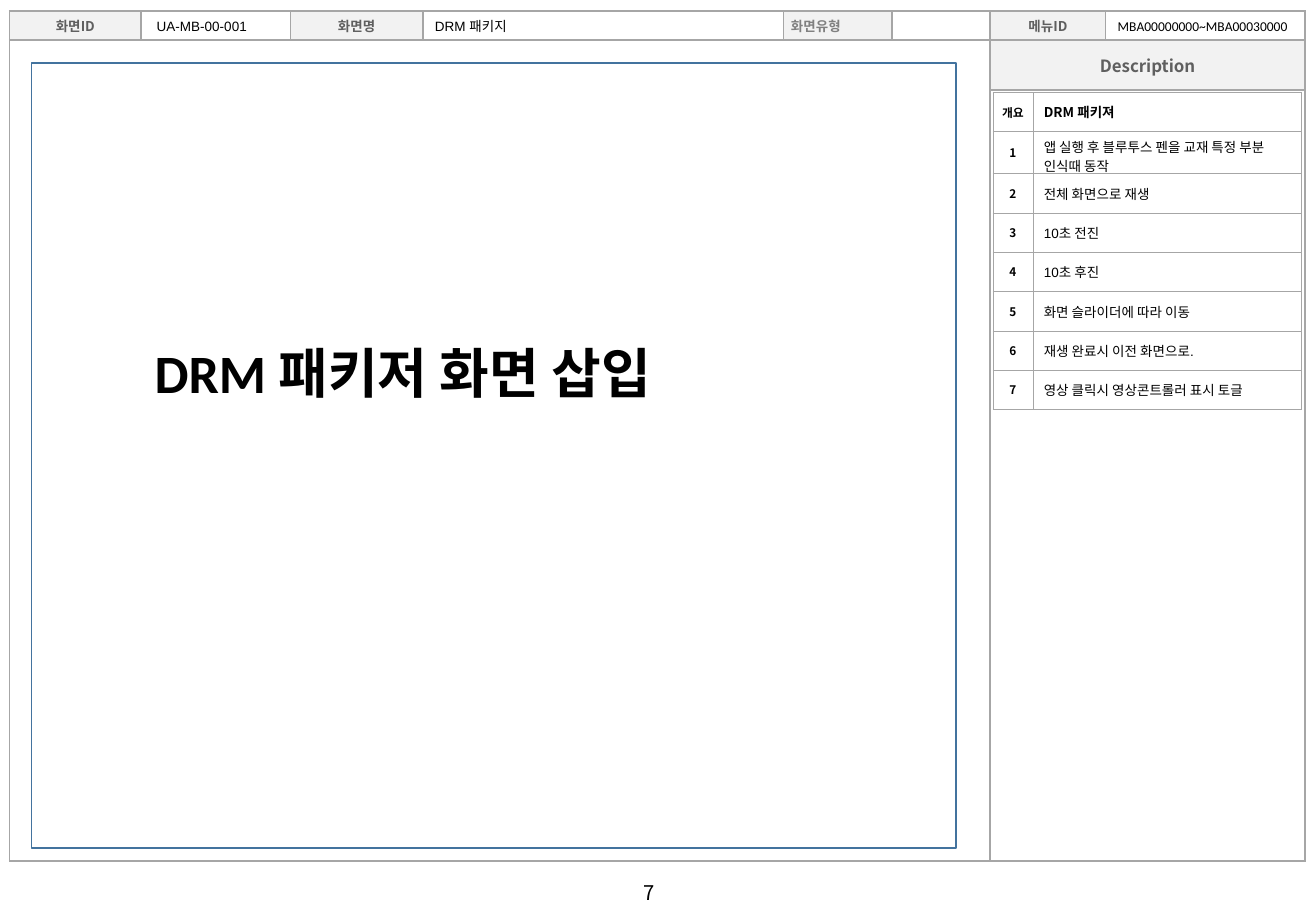
from itertools import accumulate

from lxml import etree
from pptx import Presentation
from pptx import util as u
from pptx.dml.color import RGBColor
from pptx.enum import shapes, text
from pptx.oxml import ns

BLACK = RGBColor(0x00, 0x00, 0x00)
LABEL = RGBColor(0x5F, 0x5F, 0x5F)
LABEL_LIGHT = RGBColor(0x80, 0x80, 0x80)
HEADER_FILL = RGBColor(0xF2, 0xF2, 0xF2)
GRID = RGBColor(0xA6, 0xA6, 0xA6)
FRAME = RGBColor(0x43, 0x73, 0x9E)

KOREAN = "Noto Sans CJK KR"
WIDTH, HEIGHT = 10.83, 7.5
CENTER = text.PP_ALIGN.CENTER

# Form grid, in inches
FORM_BOX = (0.08, 0.09, 10.65, 7)
FORM_COLUMNS = [1.08, 1.23, 1.09, 2.97, 0.89, 0.81, 0.95, 1.64]
FORM_ROWS = [0.24, 0.41, 6.35]
LABELS = {0: "화면ID", 2: "화면명", 4: "화면유형", 6: "메뉴ID"}
# Column, text, font, shift from the column's left edge
VALUES = [
    (1, "UA-MB-00-001", "Arial", 0.03),
    (3, "DRM 패키지", "Arial", 0),
    (7, "MBA00000000~MBA00030000", "Calibri", 0),
]
DESCRIPTIONS = [
    ("개요", "DRM 패키져"),
    ("1", "앱 실행 후 블루투스 펜을 교재 특정 부분 인식때 동작"),
    ("2", "전체 화면으로 재생"),
    ("3", "10초 전진"),
    ("4", "10초 후진"),
    ("5", "화면 슬라이더에 따라 이동"),
    ("6", "재생 완료시 이전 화면으로."),
    ("7", "영상 클릭시 영상콘트롤러 표시 토글"),
]


def inches(box):
    return [u.Inches(length) for length in box]


def write(frame, words, size=8, font=KOREAN, color=BLACK, bold=False,
          align=text.PP_ALIGN.LEFT, before=0):
    para = frame.paragraphs[0]
    para.alignment = align
    para.space_before = u.Pt(before)
    if not words:
        end = etree.SubElement(para._p, ns.qn("a:endParaRPr"))
        end.set("sz", str(size * 100))
        return
    span = para.add_run()
    span.text = words
    span.font.size = u.Pt(size)
    span.font.name = font
    span.font.bold = bold
    span.font.color.rgb = color
    east_asian = etree.SubElement(span.font._element, ns.qn("a:ea"))
    east_asian.set("typeface", KOREAN)


def add_text(page, box, words, wrap=True, **style):
    frame = page.shapes.add_textbox(*inches(box)).text_frame
    frame.word_wrap = wrap
    write(frame, words, **style)


def add_grid(page, box, columns, rows):
    table = page.shapes.add_table(len(rows), len(columns), *inches(box)).table
    table.first_row = table.horz_banding = False
    for column, width in zip(table.columns, columns):
        column.width = u.Inches(width)
    for row, height in zip(table.rows, rows):
        row.height = u.Inches(height)
    return table


def format_cell(cell, border, fill=None, side=0.04, left=None):
    cell.vertical_anchor = text.MSO_ANCHOR.MIDDLE
    cell.margin_top = cell.margin_bottom = u.Inches(0.04)
    cell.margin_right = u.Inches(side)
    cell.margin_left = u.Inches(left or side)
    if fill:
        cell.fill.solid()
        cell.fill.fore_color.rgb = fill
    else:
        cell.fill.background()
    properties = cell._tc.get_or_add_tcPr()
    for place, edge in enumerate(("lnL", "lnR", "lnT", "lnB")):
        line = etree.Element(ns.qn("a:" + edge), w=str(u.Pt(border)))
        solid = etree.SubElement(line, ns.qn("a:solidFill"))
        etree.SubElement(solid, ns.qn("a:srgbClr"), val=str(GRID))
        properties.insert(place, line)


def add_form(page, box):
    table = add_grid(page, box, FORM_COLUMNS, FORM_ROWS)
    table.cell(1, 0).merge(table.cell(2, 5))
    for row in (1, 2):
        table.cell(row, 6).merge(table.cell(row, 7))

    # Header labels and the description heading
    label_style = dict(color=LABEL, bold=True, align=CENTER, before=1.6)
    labels = {(0, column): (words, label_style) for column, words in LABELS.items()}
    labels[0, 4] = (LABELS[4], dict(color=LABEL_LIGHT, bold=True, before=1.6))
    labels[1, 6] = ("Description", dict(label_style, size=10))
    for row in range(len(FORM_ROWS)):
        for column in range(len(FORM_COLUMNS)):
            cell = table.cell(row, column)
            words, style = labels.get((row, column), ("", {}))
            format_cell(cell, 1, HEADER_FILL if words else None, side=0.06)
            write(cell.text_frame, words, **style)


def add_values(page, box):
    left, top = box[:2]
    edges = list(accumulate(FORM_COLUMNS, initial=left))
    for column, words, font, shift in VALUES:
        place = (edges[column] + shift, top + 0.01, FORM_COLUMNS[column], FORM_ROWS[0])
        add_text(page, place, words, font=font)


def add_descriptions(page, box):
    width, height = box[2:]
    rows = [height / len(DESCRIPTIONS)] * len(DESCRIPTIONS)
    table = add_grid(page, box, [0.13 * width, 0.87 * width], rows)
    for row, (number, words) in enumerate(DESCRIPTIONS):
        first = row == 0
        key, detail = table.cell(row, 0), table.cell(row, 1)
        format_cell(key, 0.25)
        format_cell(detail, 0.25, left=0.09)
        write(key.text_frame, number, size=7, bold=True, align=CENTER)
        write(detail.text_frame, words, font=KOREAN if first else "Arial", bold=first)


def add_screen(page, box):
    left, top, width, height = box
    frame = page.shapes.add_shape(shapes.MSO_SHAPE.RECTANGLE, *inches(box))
    frame.shadow.inherit = False
    frame.fill.background()
    frame.line.color.rgb = FRAME
    frame.line.width = u.Pt(1)
    title = (left + 0.12 * width, top + 0.345 * height, 0.72 * width, 0.1 * height)
    add_text(page, title, "DRM 패키저 화면 삽입", size=32, font="Calibri", bold=True)


def main():
    deck = Presentation()
    deck.slide_width, deck.slide_height = inches((WIDTH, HEIGHT))
    page = deck.slides.add_slide(deck.slide_layouts[6])

    # Page number
    add_text(page, (0.48 * WIDTH, 0.96 * HEIGHT, 0.42, 0.3), "7", wrap=False, size=12)

    # Form, screen area and descriptions
    add_form(page, FORM_BOX)
    add_screen(page, (0.26, 0.52, 7.61, 6.46))
    add_descriptions(page, (8.17, 0.76, 2.54, 2.59))
    add_values(page, FORM_BOX)
    deck.save("out.pptx")


if __name__ == "__main__":
    main()
